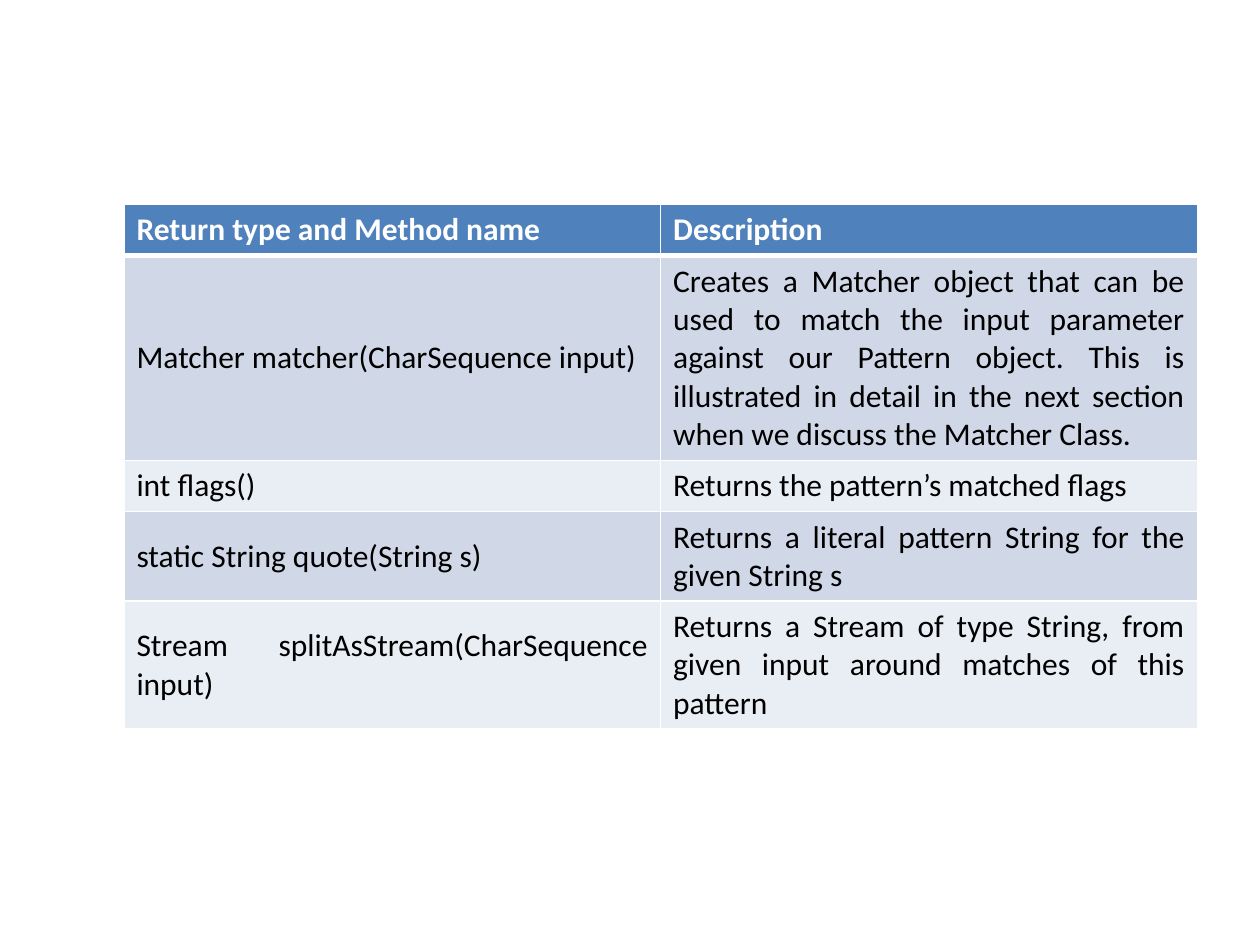
from dataclasses import dataclass

from lxml import etree
from pptx import Presentation
from pptx import util as u
from pptx.dml import color
from pptx.enum import text
from pptx.oxml import ns

COLORS = {
    "header": "4F81BD",
    "odd": "D0D8E8",
    "even": "E9EDF4",
    "border": "FFFFFF",
    "heading": "FFFFFF",
    "body": "000000",
}


@dataclass(frozen=True)
class MethodRow:
    method: str
    description: str
    height: float


ROWS = [
    MethodRow("Return type and Method name", "Description", 28),
    MethodRow(
        "Matcher matcher(CharSequence input)",
        "Creates a Matcher object that can be used to match the input parameter "
        "against our Pattern object. This is illustrated in detail in the next "
        "section when we discuss the Matcher Class.",
        110,
    ),
    MethodRow("int flags()", "Returns the pattern’s matched flags", 28),
    MethodRow(
        "static String quote(String s)",
        "Returns a literal pattern String for the given String s",
        48,
    ),
    MethodRow(
        "Stream splitAsStream(CharSequence input)",
        "Returns a Stream of type String, from given input around matches of this pattern",
        69,
    ),
]


def set_borders(cell, widths: dict[str, float]) -> None:
    properties = cell._tc.get_or_add_tcPr()
    for index, (side, width) in enumerate(widths.items()):
        line = etree.Element(ns.qn(f"a:ln{side}"), w=str(u.Pt(width)))
        fill = etree.SubElement(line, ns.qn("a:solidFill"))
        etree.SubElement(fill, ns.qn("a:srgbClr"), val=COLORS["border"])
        properties.insert(index, line)


def fill_cell(cell, wording: str, row_index: int) -> None:
    is_header = row_index == 0
    background = "header" if is_header else "odd" if row_index % 2 else "even"
    cell.fill.solid()
    cell.fill.fore_color.rgb = color.RGBColor.from_string(COLORS[background])
    cell.vertical_anchor = text.MSO_ANCHOR.MIDDLE
    paragraph = cell.text_frame.paragraphs[0]
    paragraph.alignment = text.PP_ALIGN.JUSTIFY
    run = paragraph.add_run()
    run.text = wording
    run.font.name = "Calibri"
    run.font.size = u.Pt(18)
    run.font.bold = is_header
    run.font.color.rgb = color.RGBColor.from_string(
        COLORS["heading" if is_header else "body"]
    )
    top = 3 if row_index == 1 else 1
    bottom = 3 if is_header else 1
    set_borders(cell, {"L": 1, "R": 1, "T": top, "B": bottom})


def add_method_table(slide, rows: list[MethodRow]) -> None:
    height = sum(row.height for row in rows)
    table = slide.shapes.add_table(
        len(rows), 2, u.Pt(70.8), u.Pt(116.9), u.Pt(613.4), u.Pt(height)
    ).table
    for row_index, row in enumerate(rows):
        table.rows[row_index].height = u.Pt(row.height)
        for column_index, wording in enumerate((row.method, row.description)):
            fill_cell(table.cell(row_index, column_index), wording, row_index)


def main() -> None:
    presentation = Presentation()
    presentation.slide_width = u.Pt(720)
    presentation.slide_height = u.Pt(540)
    slide = presentation.slides.add_slide(presentation.slide_layouts[6])
    add_method_table(slide, ROWS)
    presentation.save("out.pptx")


if __name__ == "__main__":
    main()
